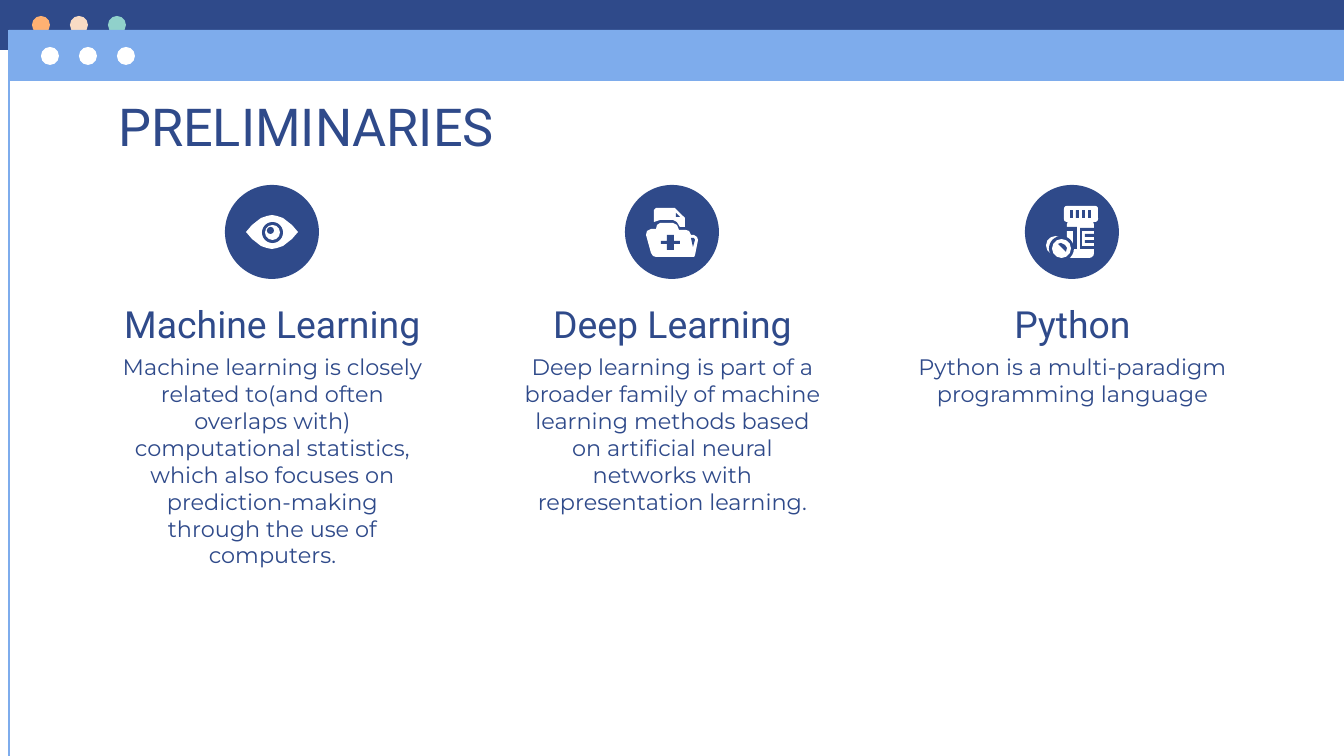
from lxml import etree
from pptx import Presentation, util as u
from pptx.dml.color import RGBColor
from pptx.enum import shapes, text
from pptx.oxml.ns import qn

PX = u.Inches(10) / 1344
NAVY, SKY, WHITE = "2F4A8A", "7EACEC", "FFFFFF"
OVAL = shapes.MSO_SHAPE.OVAL
RECTANGLE = shapes.MSO_SHAPE.RECTANGLE
ROUNDED = shapes.MSO_SHAPE.ROUNDED_RECTANGLE

presentation = Presentation()
presentation.slide_width = round(1344 * PX)
presentation.slide_height = round(756 * PX)
slide = presentation.slides.add_slide(presentation.slide_layouts[6])


def paint(shape, color):
    shape.shadow.inherit = False
    shape.fill.solid()
    shape.fill.fore_color.rgb = RGBColor.from_string(color)
    shape.line.fill.background()


def add_preset(kind, left, top, width, height, color):
    box = [round(value * PX) for value in (left, top, width, height)]
    shape = slide.shapes.add_shape(kind, *box)
    paint(shape, color)
    return shape


add_preset(RECTANGLE, 0, 0, 1344, 50, NAVY)
for index, color in enumerate(["FFB172", "F8DBC4", "90D1CB"]):
    add_preset(OVAL, 32 + 38 * index, 16, 18, 18, color)
add_preset(RECTANGLE, 9, 30, 1335, 51, SKY)
for index in range(3):
    add_preset(OVAL, 41 + 38 * index, 47, 18, 18, WHITE)

ends = [round(value * PX) for value in (9, 30, 9, 756)]
border = slide.shapes.add_connector(shapes.MSO_CONNECTOR.STRAIGHT, *ends)
border.line.color.rgb = RGBColor.from_string(SKY)
border.line.width = u.Pt(0.75)
etree.SubElement(border._element.spPr, qn("a:effectLst"))

columns = [
    ("Machine Learning", "Machine learning is closely related to(and often overlaps with) "
     "computational statistics, which also focuses on prediction-making through the use of computers.", 247),
    ("Deep Learning", "Deep learning is part of a broader family of machine learning methods "
     "based on artificial neural networks with representation learning.", 210),
    ("Python", "Python is a multi-paradigm programming language", 132),
]
CENTER, LEFT = text.PP_ALIGN.CENTER, text.PP_ALIGN.LEFT
labels = [("PRELIMINARIES", 105, 81, 1134, 69, LEFT, 0, {"name": "Roboto", "size": u.Pt(28)})]
for index, (heading, body, height) in enumerate(columns):
    left = 105 + 400 * index
    add_preset(OVAL, left + 120, 185, 94, 94, NAVY)
    labels += [
        (heading, left, 288, 335, 69, CENTER, 0, {"name": "Roboto", "size": u.Pt(20)}),
        (body, left, 340, 335, height, CENTER, 12, {"name": "Montserrat", "size": u.Pt(12)}),
    ]

for words, left, top, width, height, alignment, space, font in labels:
    box = [round(value * PX) for value in (left, top, width, height)]
    frame = slide.shapes.add_textbox(*box).text_frame
    margins = {f"margin_{side}": u.Inches(0.1) for side in ("left", "top", "right", "bottom")}
    for name, value in {"word_wrap": True, "vertical_anchor": text.MSO_ANCHOR.TOP, **margins}.items():
        setattr(frame, name, value)
    paragraph = frame.paragraphs[0]
    paragraph.alignment = alignment
    paragraph.space_after = u.Pt(space)
    run = paragraph.add_run()
    run.text = words
    run.font.color.rgb = RGBColor.from_string(NAVY)
    for name, value in font.items():
        setattr(run.font, name, value)

bottle_parts = [
    (ROUNDED, 1064, 206, 34, 16, WHITE),
    (ROUNDED, 1067, 220, 27, 38, WHITE),
    (RECTANGLE, 1066, 227, 11, 22, NAVY),
    (RECTANGLE, 1080, 228, 15, 21, NAVY),
    (RECTANGLE, 1067, 231, 6, 15, WHITE),
    (RECTANGLE, 1082, 231, 12, 15, WHITE),
    (RECTANGLE, 1085, 234, 9, 3, NAVY),
    (RECTANGLE, 1085, 240, 9, 3, NAVY),
    (OVAL, 1046, 236, 19, 19, WHITE),
    (OVAL, 1049, 236, 25, 25, NAVY),
    (OVAL, 1052, 239, 19, 19, WHITE),
]
for part in bottle_parts:
    add_preset(*part)
for index in range(4):
    add_preset(RECTANGLE, 1070 + 6 * index, 210, 3, 8, NAVY)

eye = [(246, 232), (252, 225), (261, 218), (267, 216), (272, 215), (277, 216), (283, 218), (292, 225),
       (298, 232), (292, 239), (283, 246), (277, 248), (272, 249), (267, 248), (261, 246), (252, 239)]
sheet = [(654, 210), (656, 208), (675, 208), (685, 218), (685, 227), (680, 227), (677, 222),
         (673, 220), (660, 220), (654, 222)]
folder = [(660, 223), (657, 225), (656, 229), (651, 229), (647, 231), (646, 235), (651, 253), (653, 256),
          (656, 257), (694, 257), (695, 255), (698, 240), (697, 237), (694, 235), (691, 235), (689, 231),
          (686, 230), (679, 230), (677, 225), (673, 223)]
outlines = [
    (eye, WHITE),
    (sheet, WHITE),
    ([(676, 213), (680, 217), (676, 217)], NAVY),
    (folder, WHITE),
    ([(691, 238), (694, 238), (695, 240), (693, 247)], NAVY),
    ([(1058, 244), (1061, 243), (1065, 245), (1067, 248), (1066, 252)], NAVY),
]
for points, color in outlines:
    builder = slide.shapes.build_freeform(*points[0], scale=PX)
    builder.add_line_segments(points[1:], close=True)
    paint(builder.convert_to_shape(), color)

for left, top, size, color in [(262, 222, 21, NAVY), (265, 225, 15, WHITE), (267, 227, 7, NAVY)]:
    add_preset(OVAL, left, top, size, size, color)
cross = add_preset(shapes.MSO_SHAPE.CROSS, 661, 235, 19, 15, NAVY)
cross.adjustments[0] = 0.4

presentation.save("out.pptx")
